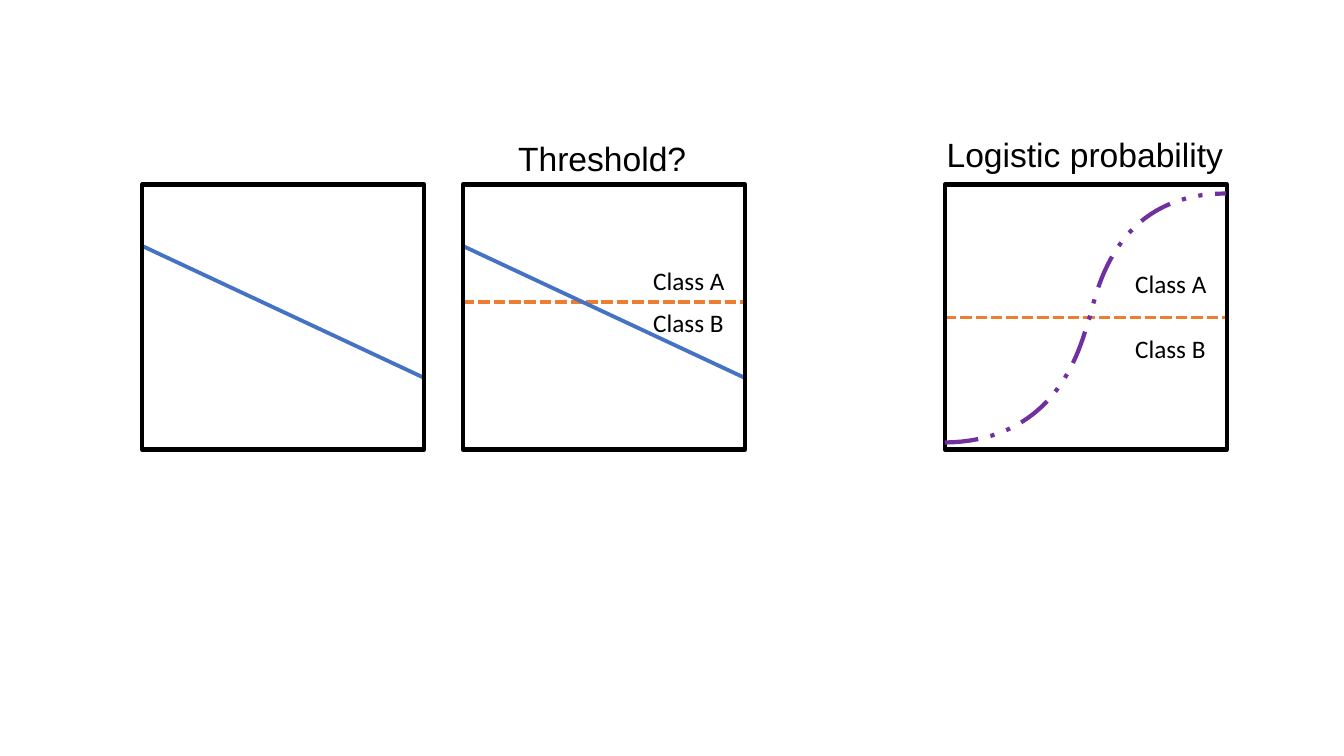
from dataclasses import dataclass

from lxml.etree import SubElement
from pptx import Presentation
from pptx.dml.color import RGBColor
from pptx.enum.dml import MSO_LINE
from pptx.enum.shapes import MSO_CONNECTOR, MSO_SHAPE
from pptx.oxml.ns import qn
from pptx.util import Inches, Pt


@dataclass(frozen=True)
class Theme:
    ink: RGBColor = RGBColor(0x00, 0x00, 0x00)
    trend: RGBColor = RGBColor(0x44, 0x72, 0xC4)
    threshold: RGBColor = RGBColor(0xED, 0x7D, 0x31)
    logistic: RGBColor = RGBColor(0x70, 0x30, 0xA0)
    heading_font: str = "Arial"
    heading_size: Pt = Pt(24)
    label_font: str = "Calibri"
    label_size: Pt = Pt(18)
    line_width: Pt = Pt(2.75)
    frame_width: Pt = Pt(3)


theme = Theme()

deck = Presentation()
deck.slide_width, deck.slide_height = Inches(13.33), Inches(7.5)
page = deck.slides.add_slide(deck.slide_layouts[6])


def add_line(left, top, right, bottom, color, dash=None):
    line = page.shapes.add_connector(
        MSO_CONNECTOR.STRAIGHT, Inches(left), Inches(top), Inches(right), Inches(bottom))
    line.line.color.rgb = color
    line.line.width = theme.line_width
    if dash:
        line.line.dash_style = dash
    SubElement(line._element.spPr, qn("a:effectLst"))


def add_text(text, left, top, width, height, font, size):
    box = page.shapes.add_textbox(Inches(left), Inches(top), Inches(width), Inches(height))
    box.text_frame.word_wrap = False
    para = box.text_frame.paragraphs[0]
    para.text = text
    span = para.runs[0]
    span.font.name, span.font.size = font, size
    span.font.color.rgb = theme.ink


# Panels: left edge, has trend line, threshold height, class labels (text, left, top)
panel_top, panel_width, panel_height = 1.83, 2.8, 2.63
panels = [
    (1.41, True, None, []),
    (4.59, True, 3.0, [("Class A", 6.38, 2.58), ("Class B", 6.38, 3.0)]),
    (9.37, False, 3.15, [("Class A", 11.16, 2.61), ("Class B", 11.16, 3.26)]),
]
for left, has_trend, threshold, labels in panels:
    right = left + panel_width
    if threshold:
        add_line(left, threshold, right, threshold, theme.threshold, MSO_LINE.SQUARE_DOT)
    if has_trend:
        add_line(left, 2.44, right, 3.75, theme.trend)
    frame = page.shapes.add_shape(
        MSO_SHAPE.RECTANGLE, Inches(left), Inches(panel_top),
        Inches(panel_width), Inches(panel_height))
    frame.shadow.inherit = False
    frame.fill.background()
    frame.line.color.rgb = theme.ink
    frame.line.width = theme.frame_width
    for text, label_left, label_top in labels:
        add_text(text, label_left, label_top, 0.92, 0.4, theme.label_font, theme.label_size)

# Logistic curve: two Bezier pieces sampled into short segments
pieces = [
    [(9.37, 4.39), (10.56, 4.38), (10.74, 3.31), (10.8, 3.17)],
    [(10.8, 3.17), (10.86, 3.02), (10.99, 1.92), (12.16, 1.92)],
]
steps = 40
points = []
for piece in pieces:
    for step in range(1, steps + 1):
        t = step / steps
        weights = [(1 - t) ** 3, 3 * t * (1 - t) ** 2, 3 * t ** 2 * (1 - t), t ** 3]
        x, y = (sum(w * value for w, value in zip(weights, axis)) for axis in zip(*piece))
        points.append((Inches(x), Inches(y)))
start_x, start_y = pieces[0][0]
builder = page.shapes.build_freeform(Inches(start_x), Inches(start_y))
builder.add_line_segments(points, close=False)
curve = builder.convert_to_shape()
curve.shadow.inherit = False
curve.fill.background()
curve.line.color.rgb = theme.logistic
curve.line.width = theme.frame_width
curve.line.dash_style = MSO_LINE.DASH_DOT_DOT

# Headings
for text, left, top, width in [
    ("Threshold?", 5.04, 1.32, 1.89),
    ("Logistic probability", 9.29, 1.28, 2.98),
]:
    add_text(text, left, top, width, 0.5, theme.heading_font, theme.heading_size)

deck.save("out.pptx")
